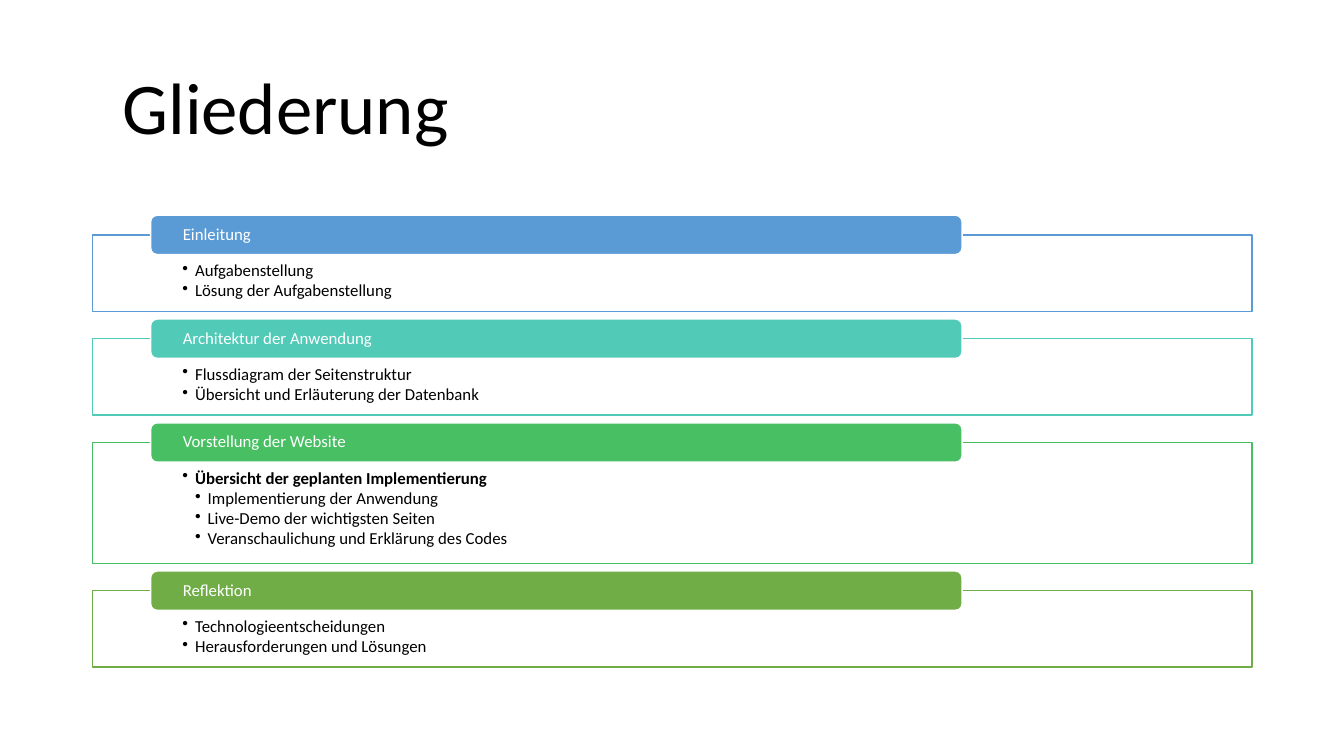
import pptx
import pptx.dml.color
import pptx.enum.shapes
import pptx.enum.text
import pptx.util
from lxml import etree
from pptx.oxml.ns import qn

# Slide size and vertical rhythm, in inches
W, H = 13.33, 7.5
PANEL_X, PANEL_W = 0.069 * W, 0.8625 * W
HEADER_X, HEADER_W, HEADER_H = PANEL_X + 0.05 * PANEL_W, 0.7 * PANEL_W, 0.39
TOP, GAP, OVERLAP = 2.33, 0.27, 0.195
ROW, PADDING = 0.22, 0.32
INDENT = 0.125
FONT = "Calibri"

# Heading, colour, bullets as (level, text, bold)
SECTIONS = [
    ("Einleitung", "5B9BD5", [
        (1, "Aufgabenstellung", False),
        (1, "Lösung der Aufgabenstellung", False)]),
    ("Architektur der Anwendung", "52CAB8", [
        (1, "Flussdiagram der Seitenstruktur", False),
        (1, "Übersicht und Erläuterung der Datenbank", False)]),
    ("Vorstellung der Website", "49BF64", [
        (1, "Übersicht der geplanten Implementierung", True),
        (2, "Implementierung der Anwendung", False),
        (2, "Live-Demo der wichtigsten Seiten", False),
        (2, "Veranschaulichung und Erklärung des Codes", False)]),
    ("Reflektion", "70AD47", [
        (1, "Technologieentscheidungen", False),
        (1, "Herausforderungen und Lösungen", False)]),
]


def inches(*values):
    return [pptx.util.Inches(v) for v in values]


def rgb(color):
    return pptx.dml.color.RGBColor.from_string(color)


def set_frame(tf, anchor, insets):
    tf.word_wrap = True
    tf.vertical_anchor = anchor
    tf.margin_left, tf.margin_top, tf.margin_right, tf.margin_bottom = inches(*insets)


def set_paragraph(p, text, size, color, align, bold=False):
    p.text = text
    p.alignment = align
    p.line_spacing = 0.9
    font = p.runs[0].font
    font.name, font.size, font.bold = FONT, pptx.util.Pt(size), bold
    font.color.rgb = rgb(color)


def add_bullet(p, level):
    p.level = level
    pPr = p._p.get_or_add_pPr()
    pPr.set("marL", str(pptx.util.Inches(INDENT * level)))
    pPr.set("indent", str(pptx.util.Inches(-INDENT)))
    etree.SubElement(pPr, qn("a:buChar")).set("char", "•")


def add_box(slide, kind, box, fill, line):
    sp = slide.shapes.add_shape(kind, *inches(*box))
    sp.shadow.inherit = False
    sp.fill.solid()
    sp.fill.fore_color.rgb = rgb(fill)
    sp.line.color.rgb = rgb(line)
    sp.line.width = pptx.util.Pt(1)
    return sp


def add_title(slide, text):
    tf = slide.shapes.add_textbox(*inches(0, 0.48, 0.425 * W, 1.24)).text_frame
    set_frame(tf, pptx.enum.text.MSO_ANCHOR.MIDDLE, (0.1, 0.05, 0.1, 0.05))
    set_paragraph(tf.paragraphs[0], text, 52, "000000", pptx.enum.text.PP_ALIGN.CENTER)


def add_section(slide, top, height, heading, color, bullets):
    shapes = pptx.enum.shapes.MSO_SHAPE
    left = pptx.enum.text.PP_ALIGN.LEFT

    # Outlined panel with its bullets
    panel = add_box(slide, shapes.RECTANGLE, (PANEL_X, top, PANEL_W, height),
                    "FFFFFF", color)
    tf = panel.text_frame
    set_frame(tf, pptx.enum.text.MSO_ANCHOR.TOP, (0.89, 0.27, 0.89, 0.09))
    for i, (level, text, bold) in enumerate(bullets):
        p = tf.add_paragraph() if i else tf.paragraphs[0]
        add_bullet(p, level)
        set_paragraph(p, text, 12, "000000", left, bold)
        p.space_after = pptx.util.Pt(1.5)

    # Coloured header across the panel's top edge
    header = add_box(slide, shapes.ROUNDED_RECTANGLE,
                     (HEADER_X, top - OVERLAP, HEADER_W, HEADER_H), color, "FFFFFF")
    tf = header.text_frame
    set_frame(tf, pptx.enum.text.MSO_ANCHOR.MIDDLE, (0.3, 0, 0.3, 0))
    set_paragraph(tf.paragraphs[0], heading, 12, "FFFFFF", left)


def main():
    prs = pptx.Presentation()
    prs.slide_width, prs.slide_height = inches(W, H)
    slide = prs.slides.add_slide(prs.slide_layouts[6])

    add_title(slide, "Gliederung")

    # Sections stacked with equal gaps
    top = TOP
    for heading, color, bullets in SECTIONS:
        height = PADDING + ROW * len(bullets)
        add_section(slide, top, height, heading, color, bullets)
        top += height + GAP

    prs.save("out.pptx")


if __name__ == "__main__":
    main()
